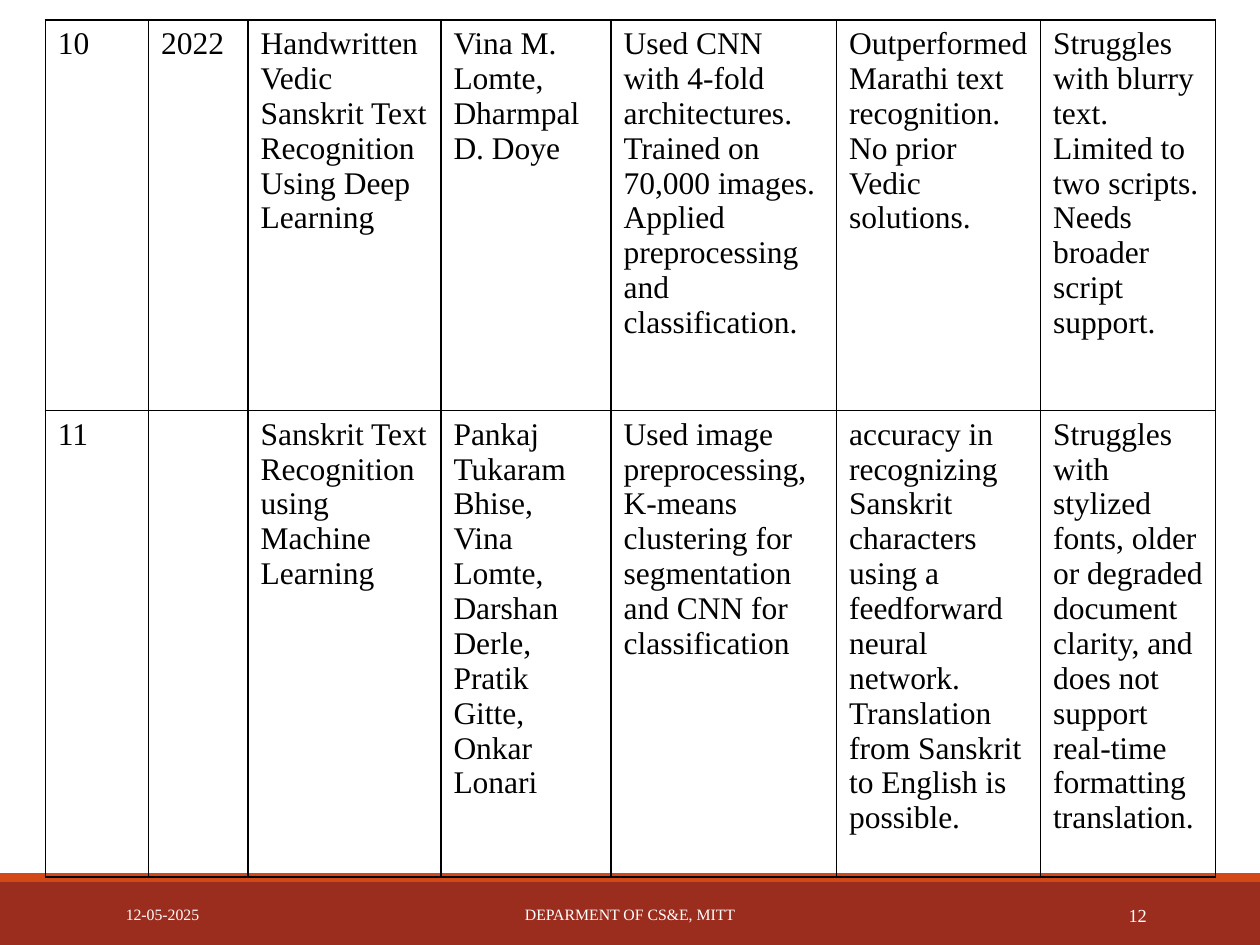
from dataclasses import dataclass
from itertools import product

from lxml.etree import SubElement
from pptx import Presentation
from pptx.dml.color import RGBColor as RGB
from pptx.enum.shapes import MSO_SHAPE as Shape
from pptx.enum.text import MSO_ANCHOR as Anchor, PP_ALIGN as Align
from pptx.oxml.ns import qn
from pptx.util import Inches, Pt


@dataclass(frozen=True)
class Theme:
    """Colours, type sizes and font of the slide."""
    font: str = "Times New Roman"
    ink: str = "000000"
    light: str = "FFFFFF"
    band: str = "9B2D1F"
    strip: str = "D34817"
    body: float = 18
    foot: float = 9
    number: float = 10.5
    rule: float = 1


THEME = Theme()
COLS = (0.82, 0.79, 1.53, 1.35, 1.79, 1.62, 1.39)
ROWS = (3.1, 3.7)
PAPERS = (
    ("10", "2022",
     "Handwritten Vedic Sanskrit Text Recognition Using Deep Learning",
     "Vina M. Lomte, Dharmpal D. Doye",
     "Used CNN with 4-fold architectures. Trained on 70,000 images. "
     "Applied preprocessing and classification.",
     "Outperformed Marathi text recognition. No prior Vedic solutions.",
     "Struggles with blurry text. Limited to two scripts. "
     "Needs broader script support."),
    ("11", "",
     "Sanskrit Text Recognition using Machine Learning",
     "Pankaj Tukaram Bhise, Vina Lomte, Darshan Derle, Pratik Gitte, "
     "Onkar Lonari",
     "Used image preprocessing, K-means clustering for segmentation "
     "and CNN for classification",
     "accuracy in recognizing Sanskrit characters using a feedforward "
     "neural network. Translation from Sanskrit to English is possible.",
     "Struggles with stylized fonts, older or degraded document clarity, "
     "and does not support real-time formatting translation."),
)


def add_run(para, text, size, color):
    """Add one styled run to a paragraph."""
    run = para.add_run()
    run.text = text
    run.font.name = THEME.font
    run.font.size = Pt(size)
    run.font.color.rgb = RGB.from_string(color)


def add_bar(slide, box, color):
    """Draw a plain filled bar in the box."""
    bar = slide.shapes.add_shape(Shape.RECTANGLE, *map(Inches, box))
    bar.shadow.inherit = False
    bar.fill.solid()
    bar.fill.fore_color.rgb = RGB.from_string(color)
    bar.line.fill.background()


def add_label(slide, box, text, size, align):
    """Place one line of footer text in the box."""
    frame = slide.shapes.add_textbox(*map(Inches, box)).text_frame
    frame.word_wrap = True
    frame.vertical_anchor = Anchor.MIDDLE
    para = frame.paragraphs[0]
    para.alignment = align
    add_run(para, text, size, THEME.light)


def add_footer(slide, box):
    """Draw the footer bars and the date, department and page number."""
    left, top, width, height = box
    add_bar(slide, box, THEME.band)
    add_bar(slide, (left, top - 0.07, width, 0.07), THEME.strip)
    labels = (
        (0.9, 2.03, "12-05-2025", THEME.foot, Align.LEFT),
        (3.02, 3.96, "DEPARMENT OF CS&E, MITT", THEME.foot, Align.CENTER),
        (8.12, 1.08, "12", THEME.number, Align.RIGHT),
    )
    for shift, span, text, size, align in labels:
        spot = (left + shift, top + 0.06, span, 0.4)
        add_label(slide, spot, text, size, align)


def add_rules(cell):
    """Give a cell thin lines on all four sides."""
    props = cell._tc.get_or_add_tcPr()
    for side in ("lnL", "lnR", "lnT", "lnB"):
        line = SubElement(props, qn(f"a:{side}"), w=str(Pt(THEME.rule)))
        fill = SubElement(line, qn("a:solidFill"))
        SubElement(fill, qn("a:srgbClr"), val=THEME.ink)


def add_survey(slide, box):
    """Build the table of surveyed papers in the box."""
    grid = slide.shapes.add_table(
        len(ROWS), len(COLS), *map(Inches, box)).table
    grid.first_row = grid.horz_banding = False
    for col, width in zip(grid.columns, COLS):
        col.width = Inches(width)
    for row, height in zip(grid.rows, ROWS):
        row.height = Inches(height)
    for r, c in product(range(len(ROWS)), range(len(COLS))):
        cell = grid.cell(r, c)
        add_rules(cell)
        cell.fill.background()
        para = cell.text_frame.paragraphs[0]
        if PAPERS[r][c]:
            add_run(para, PAPERS[r][c], THEME.body, THEME.ink)


def main():
    """Build and save the slide."""
    deck = Presentation()
    deck.slide_width, deck.slide_height = Inches(10), Inches(7.5)
    slide = deck.slides.add_slide(deck.slide_layouts[6])
    add_footer(slide, (0, 7, 10, 0.5))
    add_survey(slide, (0.36, 0.16, sum(COLS), sum(ROWS)))
    deck.save("out.pptx")


if __name__ == "__main__":
    main()
